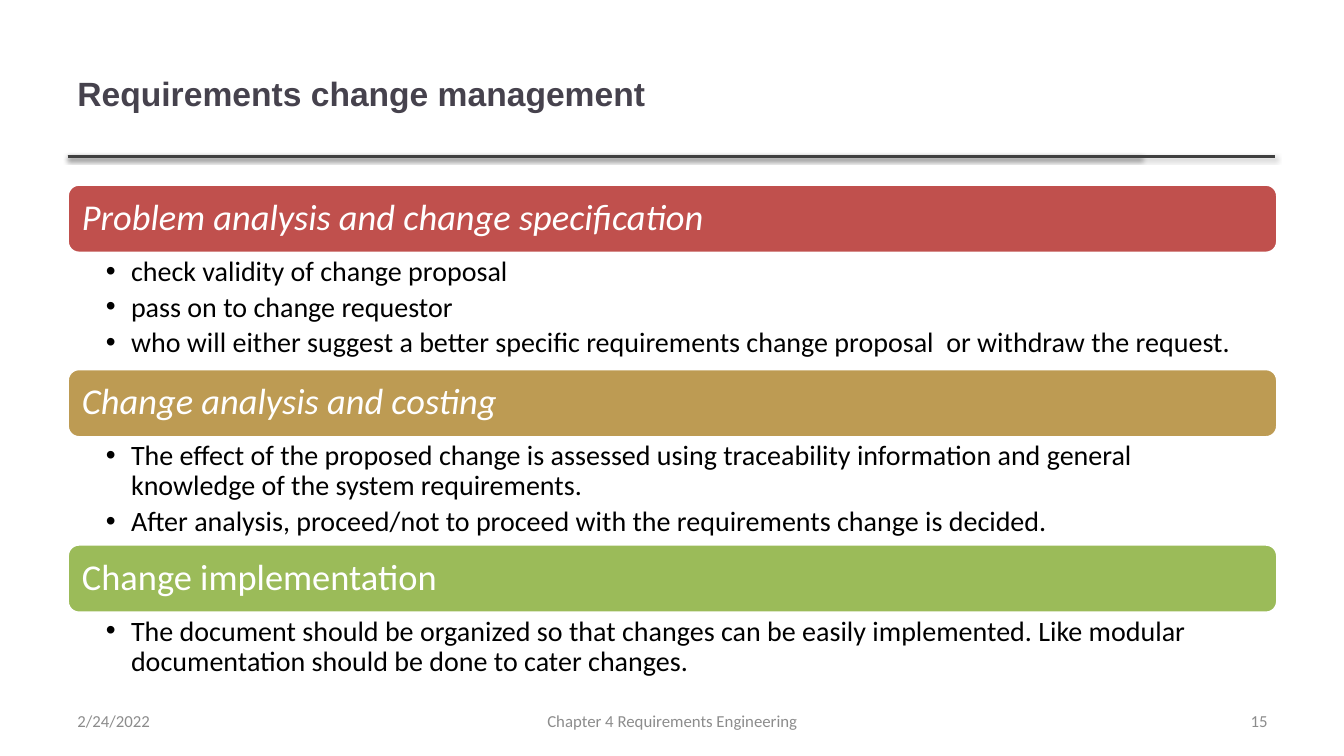
from lxml.etree import SubElement
from pptx import Presentation
from pptx.dml.color import RGBColor
from pptx.enum.shapes import MSO_CONNECTOR, MSO_SHAPE
from pptx.enum.text import MSO_ANCHOR, PP_ALIGN
from pptx.oxml.ns import qn
from pptx.util import Inches, Pt

LEFT, WIDE = 0.67, 12
BAR = 0.68
PARTS = [
    ("Problem analysis and change specification", "C0504D", True, 1.15, PP_ALIGN.JUSTIFY, [
        "check validity of change proposal",
        "pass on to change requestor",
        "who will either suggest a better specific requirements change proposal  or withdraw the request.",
    ]),
    ("Change analysis and costing", "BD9B53", True, 1.06, PP_ALIGN.LEFT, [
        "The effect of the proposed change is assessed using traceability information "
        "and general knowledge of the system requirements.",
        "After analysis, proceed/not to proceed with the requirements change is decided.",
    ]),
    ("Change implementation", "9BBB59", False, 0.69, PP_ALIGN.LEFT, [
        "The document should be organized so that changes can be easily implemented. "
        "Like modular documentation should be done to cater changes.",
    ]),
]
FOOT = [
    ("2/24/2022", LEFT, 3.11, PP_ALIGN.LEFT),
    ("Chapter 4 Requirements Engineering", 4.56, 4.22, PP_ALIGN.CENTER),
    ("15", 9.56, 3.11, PP_ALIGN.RIGHT),
]


def tint(code):
    return RGBColor.from_string(code)


def apply(target, values):
    for name, value in values.items():
        setattr(target, name, value)


class Deck:
    title = {"name": "Arial", "size": Pt(24), "bold": True}
    head = {"name": "Calibri", "size": Pt(26)}
    body = {"name": "Calibri", "size": Pt(20)}
    foot = {"name": "Calibri", "size": Pt(12)}
    tight = {"line_spacing": 0.9}

    def __init__(self):
        self.show = Presentation()
        apply(self.show, {"slide_width": Inches(13.33), "slide_height": Inches(7.5)})
        self.slide = self.show.slides.add_slide(self.show.slide_layouts[6])

    def label(self, shape, lines, font, color, para, anchor=MSO_ANCHOR.MIDDLE,
              pad=(0.1, 0.05, 0.1, 0.05), bullet=False):
        frame = shape.text_frame
        sides = ("margin_left", "margin_top", "margin_right", "margin_bottom")
        apply(frame, dict(zip(sides, map(Inches, pad))))
        apply(frame, {"word_wrap": True, "vertical_anchor": anchor})
        for count, line in enumerate(lines):
            item = frame.add_paragraph() if count else frame.paragraphs[0]
            if bullet:
                self.mark(item)
            apply(item, para)
            run = item.add_run()
            run.text = line
            apply(run.font, font)
            run.font.color.rgb = tint(color)

    def mark(self, item):
        props = item._p.get_or_add_pPr()
        props.set("marL", str(Inches(0.25)))
        props.set("indent", str(Inches(-0.25)))
        SubElement(props, qn("a:buFont")).set("typeface", "Arial")
        SubElement(props, qn("a:buChar")).set("char", "•")

    def text(self, left, top, width, height, lines, font, color, para, **more):
        box = self.slide.shapes.add_textbox(*map(Inches, (left, top, width, height)))
        self.label(box, lines, font, color, para, **more)

    def bar(self, top, line, fill, slant):
        shape = self.slide.shapes.add_shape(
            MSO_SHAPE.ROUNDED_RECTANGLE, *map(Inches, (LEFT, top, WIDE, BAR)))
        shape.shadow.inherit = False
        shape.fill.solid()
        shape.fill.fore_color.rgb = tint(fill)
        shape.line.color.rgb = tint("FFFFFF")
        shape.line.width = Pt(2)
        self.label(shape, [line], {**self.head, "italic": slant}, "FFFFFF",
                   {**self.tight, "alignment": PP_ALIGN.LEFT}, pad=(0.11,) * 4)

    def rule(self, right, top):
        line = self.slide.shapes.add_connector(
            MSO_CONNECTOR.STRAIGHT, *map(Inches, (LEFT, top, right, top)))
        line.line.color.rgb = tint("404040")
        line.line.width = Pt(2)
        glow = SubElement(line._element.spPr, qn("a:effectLst"))
        shade = SubElement(glow, qn("a:outerShdw"), blurRad="40000", dist="20000",
                           dir="5400000", rotWithShape="0")
        color = SubElement(shade, qn("a:srgbClr"), val="000000")
        SubElement(color, qn("a:alpha"), val="38000")


def main():
    deck = Deck()
    for right in (11.32, 12.65):
        deck.rule(right, 1.55)
    deck.text(LEFT, 0.3, 10.63, 1.25, ["Requirements change management"],
              deck.title, "46424D", {"alignment": PP_ALIGN.LEFT})
    top = 1.83
    for head, fill, slant, height, align, lines in PARTS:
        deck.bar(top, head, fill, slant)
        deck.text(LEFT, top + BAR, WIDE, height, lines, deck.body, "000000",
                  {**deck.tight, "level": 1, "alignment": align, "space_after": Pt(4)},
                  anchor=MSO_ANCHOR.TOP, pad=(0.38, 0.04, 0.2, 0.04), bullet=True)
        top += BAR + height
    for line, left, width, align in FOOT:
        deck.text(left, 6.95, width, 0.4, [line], deck.foot, "8C8C8C", {"alignment": align})
    deck.show.save("out.pptx")


if __name__ == "__main__":
    main()
